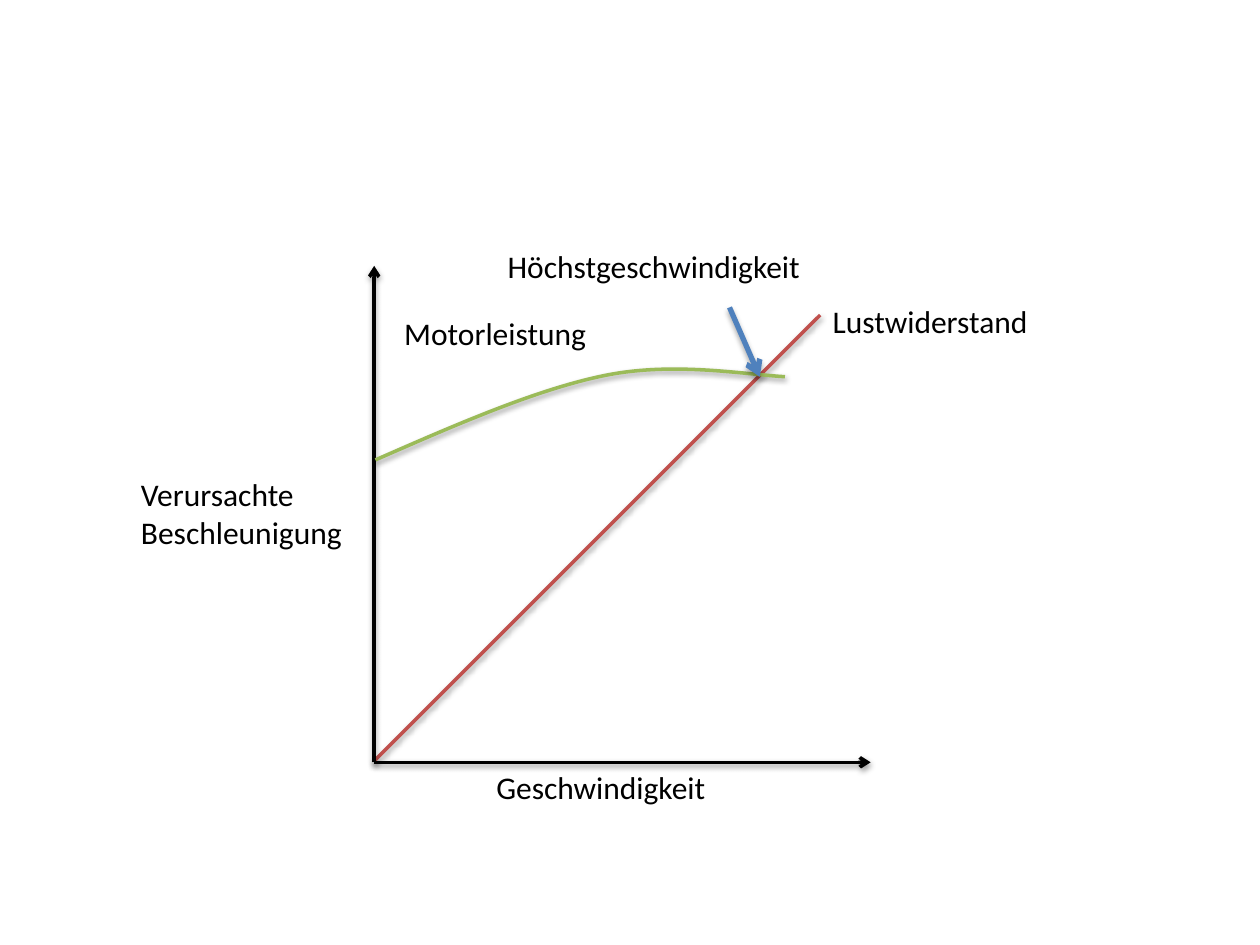
import dataclasses

import pptx
import pptx.dml.color
import pptx.enum.shapes
import pptx.enum.text
import pptx.oxml
import pptx.oxml.ns
import pptx.util

SCALE = 9144
ARROW = '<a:tailEnd %s type="arrow"/>'
SHADOW = (
    '<a:effectLst %s><a:outerShdw blurRad="40000" dist="{distance}" dir="5400000" '
    'rotWithShape="0"><a:srgbClr val="000000"><a:alpha val="{alpha}"/></a:srgbClr>'
    "</a:outerShdw></a:effectLst>"
)


@dataclasses.dataclass(frozen=True)
class Theme:
    font: str = "Calibri"
    size: int = 18
    ink: str = "000000"
    resistance: str = "C0504D"
    power: str = "9BBB59"
    pointer: str = "4F81BD"
    thin: int = 2
    thick: int = 3


@dataclasses.dataclass(frozen=True)
class Box:
    left: int
    top: int
    width: int
    height: int

    def place(self, x, y):
        return px(self.left + x), px(self.top + y)


THEME = Theme()


def px(value):
    return pptx.util.Emu(value * SCALE)


def color(code):
    return pptx.dml.color.RGBColor.from_string(code)


def apply(target, formats):
    for name, value in formats.items():
        setattr(target, name, value)


def add_xml(parent, template):
    parent.append(pptx.oxml.parse_xml(template % pptx.oxml.ns.nsdecls("a")))


def style_stroke(shape, code, width, arrow=False):
    shape.line.color.rgb = color(code)
    shape.line.width = pptx.util.Pt(width)
    if arrow:
        add_xml(shape.line._get_or_add_ln(), ARROW)
    heavy = width == THEME.thick
    shadow = SHADOW.format(
        distance=23000 if heavy else 20000, alpha=35000 if heavy else 38000
    )
    add_xml(shape._element.spPr, shadow)


def add_line(page, box, start, end, code, width=THEME.thin, arrow=False):
    line = page.shapes.add_connector(
        pptx.enum.shapes.MSO_CONNECTOR.STRAIGHT, *box.place(*start), *box.place(*end)
    )
    style_stroke(line, code, width, arrow)


def add_curve(page, box, start, points, code):
    builder = page.shapes.build_freeform(*box.place(*start))
    builder.add_line_segments([box.place(*point) for point in points], close=False)
    curve = builder.convert_to_shape()
    curve.fill.background()
    segments = curve._element.findall(".//" + pptx.oxml.ns.qn("a:lnTo"))
    for index in range(0, len(segments), 3):
        first, *others = segments[index:index + 3]
        first.tag = pptx.oxml.ns.qn("a:cubicBezTo")
        for other in others:
            first.append(other[0])
            other.getparent().remove(other)
    style_stroke(curve, code, THEME.thin)


def add_label(page, box, text, x, y, width, height=40, wrap=True):
    label = page.shapes.add_textbox(*box.place(x, y), px(width), px(height))
    apply(label.text_frame, {
        "word_wrap": wrap,
        "auto_size": pptx.enum.text.MSO_AUTO_SIZE.SHAPE_TO_FIT_TEXT,
    })
    span = label.text_frame.paragraphs[0].add_run()
    span.text = text
    apply(span.font, {"name": THEME.font, "size": pptx.util.Pt(THEME.size)})
    span.font.color.rgb = color(THEME.ink)


def draw_axes(page, box):
    origin = (0, box.height)
    for end in ((box.width, box.height), (0, 0)):
        add_line(page, box, origin, end, THEME.ink, arrow=True)


def draw_curves(page, box):
    add_line(page, box, (0, 393), (354, 39), THEME.resistance)
    draw_axes(page, box)
    bends = [(65, 126), (129, 98), (183, 87), (237, 76), (292, 86), (326, 88)]
    add_curve(page, box, (1, 154), bends, THEME.power)
    add_line(page, box, (282, 33), (306, 88), THEME.pointer, THEME.thick, arrow=True)


def draw_labels(page, box):
    add_label(page, box, "Lustwiderstand", 354, 24, 177, wrap=False)
    add_label(page, box, "Geschwindigkeit", 87, 394, 219)
    add_label(page, box, "Verursachte Beschleunigung", -195, 161, 195, 71)
    add_label(page, box, "Höchstgeschwindigkeit", 96, -20, 258)
    add_label(page, box, "Motorleistung", 14, 33, 166)


def main():
    deck = pptx.Presentation()
    apply(deck, {"slide_width": px(1000), "slide_height": px(750)})
    page = deck.slides.add_slide(deck.slide_layouts[6])
    plot = Box(297, 211, 394, 394)
    draw_curves(page, plot)
    draw_labels(page, plot)
    deck.save("out.pptx")


if __name__ == "__main__":
    main()
